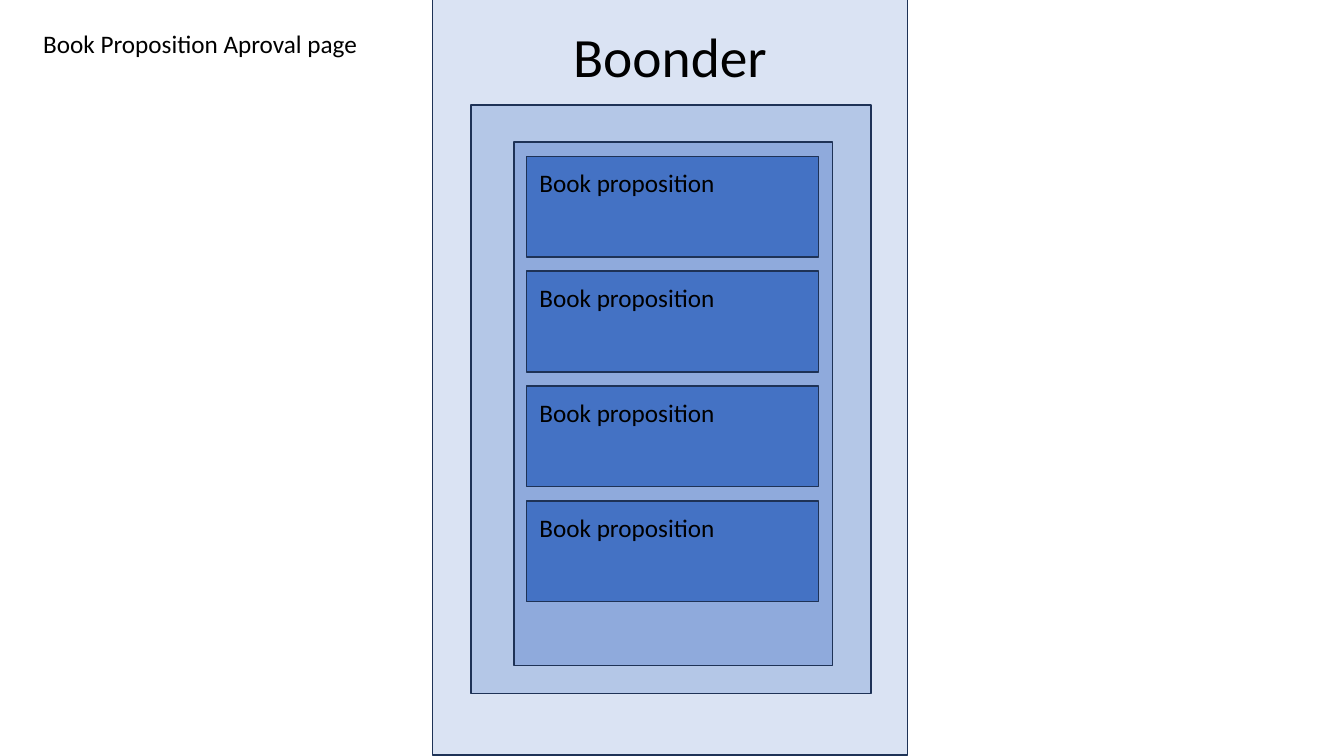
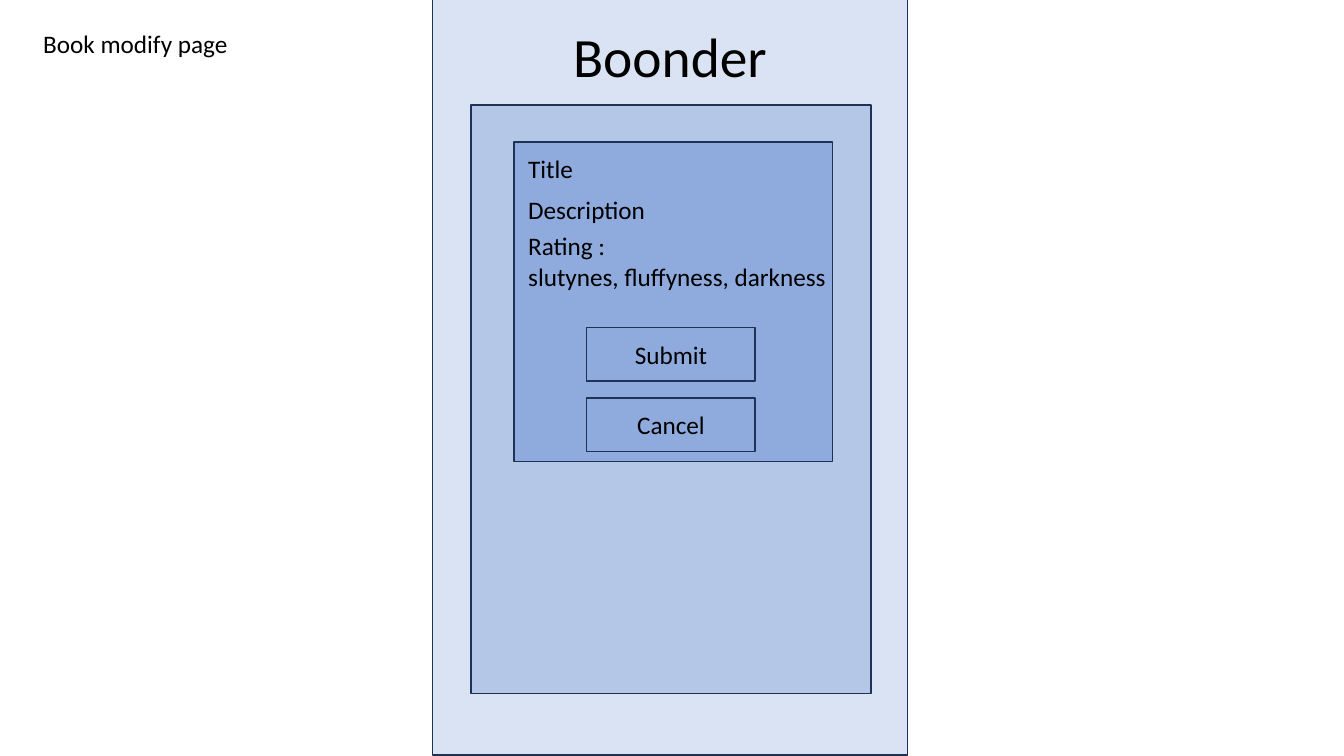
from dataclasses import dataclass

from pptx import Presentation
from pptx.dml.color import RGBColor
from pptx.enum.shapes import MSO_SHAPE
from pptx.enum.text import MSO_ANCHOR, MSO_AUTO_SIZE, PP_ALIGN
from pptx.shapes.autoshape import Shape
from pptx.slide import Slide
from pptx.text.text import TextFrame
from pptx.util import Inches, Pt

RECTANGLE = MSO_SHAPE.RECTANGLE
TOP, MIDDLE = MSO_ANCHOR.TOP, MSO_ANCHOR.MIDDLE
LEFT, CENTER = PP_ALIGN.LEFT, PP_ALIGN.CENTER
NO_AUTOFIT, GROW = MSO_AUTO_SIZE.NONE, MSO_AUTO_SIZE.SHAPE_TO_FIT_TEXT

SCREEN_FILL = RGBColor(0xDA, 0xE3, 0xF3)
CONTENT_FILL = RGBColor(0xB4, 0xC7, 0xE7)
PANEL_FILL = RGBColor(0x8F, 0xAA, 0xDC)
CARD_FILL = RGBColor(0x44, 0x72, 0xC4)
OUTLINE = RGBColor(0x1E, 0x32, 0x56)
BLACK = RGBColor(0, 0, 0)

FONT = "Calibri"
BODY_SIZE = 18
TITLE_ONLY_LAYOUT = 5
APP_NAME = "Boonder"


@dataclass(frozen=True)
class Box:
    left: float
    top: float
    width: float
    height: float

    def lengths(self) -> tuple[int, int, int, int]:
        return (Inches(self.left), Inches(self.top),
                Inches(self.width), Inches(self.height))


@dataclass(frozen=True)
class Label:
    text: str
    box: Box


SCREEN = Box(4.29, -0.01, 4.71, 7.5)
TITLE = Box(4.29, 0.28, 4.71, 0.66)
CONTENT = Box(4.67, 1.04, 3.97, 5.84)

CARD_COUNT, CARD_TOP, CARD_PITCH = 4, 1.55, 1.14
BUTTON_TOP, BUTTON_PITCH = 3.25, 0.7

FORM_LABELS = (
    Label("Title", Box(5.14, 1.47, 0.65, 0.4)),
    Label("Description", Box(5.14, 1.88, 1.38, 0.4)),
    Label("Rating :\nslutynes, fluffyness, darkness", Box(5.14, 2.24, 3.19, 0.71)),
)


def write_text(frame: TextFrame, text: str, size: float = BODY_SIZE,
               alignment: PP_ALIGN = LEFT) -> None:
    frame.text = text
    for paragraph in frame.paragraphs:
        paragraph.alignment = alignment
        paragraph.font.name = FONT
        paragraph.font.size = Pt(size)
        paragraph.font.color.rgb = BLACK


def add_rectangle(slide: Slide, box: Box, fill: RGBColor) -> Shape:
    shape = slide.shapes.add_shape(RECTANGLE, *box.lengths())
    shape.shadow.inherit = False
    shape.fill.solid()
    shape.fill.fore_color.rgb = fill
    shape.line.color.rgb = OUTLINE
    shape.line.width = Pt(1)
    return shape


def add_label(slide: Slide, label: Label) -> None:
    frame = slide.shapes.add_textbox(*label.box.lengths()).text_frame
    frame.word_wrap = False
    frame.auto_size = GROW
    write_text(frame, label.text)


def add_card(slide: Slide, text: str, box: Box) -> None:
    frame = add_rectangle(slide, box, CARD_FILL).text_frame
    frame.vertical_anchor = TOP
    frame.margin_left = Inches(0.13)
    frame.margin_top = Inches(0.11)
    write_text(frame, text)


def add_button(slide: Slide, text: str, box: Box) -> None:
    frame = add_rectangle(slide, box, PANEL_FILL).text_frame
    frame.vertical_anchor = MIDDLE
    write_text(frame, text, alignment=CENTER)


def add_app_page(presentation: Presentation, caption: Label,
                 panel_height: float) -> Slide:
    """Add the app screen that every page shares."""
    slide = presentation.slides.add_slide(
        presentation.slide_layouts[TITLE_ONLY_LAYOUT])
    screen = add_rectangle(slide, SCREEN, SCREEN_FILL)

    # App name, raised above the screen background
    title = slide.shapes.title
    title.left, title.top, title.width, title.height = TITLE.lengths()
    frame = title.text_frame
    frame.auto_size = NO_AUTOFIT
    frame.vertical_anchor = MIDDLE
    write_text(frame, APP_NAME, size=39.6, alignment=CENTER)
    frame.paragraphs[0].line_spacing = 0.8
    screen.element.addnext(title.element)

    # Content area, inner panel and page caption
    add_rectangle(slide, CONTENT, CONTENT_FILL)
    add_rectangle(slide, Box(5.1, 1.41, 3.16, panel_height), PANEL_FILL)
    add_label(slide, caption)
    return slide


def build_approval_page(presentation: Presentation) -> None:
    caption = Label("Book Proposition Aproval page", Box(0.33, 0.23, 3.33, 0.4))
    slide = add_app_page(presentation, caption, panel_height=5.19)
    for index in range(CARD_COUNT):
        top = CARD_TOP + index * CARD_PITCH
        add_card(slide, "Book proposition", Box(5.22, top, 2.9, 1))


def build_modify_page(presentation: Presentation) -> None:
    caption = Label("Book modify page", Box(0.33, 0.23, 2.05, 0.4))
    slide = add_app_page(presentation, caption, panel_height=3.17)
    for label in FORM_LABELS:
        add_label(slide, label)
    for index, text in enumerate(("Submit", "Cancel")):
        top = BUTTON_TOP + index * BUTTON_PITCH
        add_button(slide, text, Box(5.82, top, 1.67, 0.53))


def main() -> None:
    presentation = Presentation()
    presentation.slide_width = Inches(13.33)
    presentation.slide_height = Inches(7.5)
    build_approval_page(presentation)
    build_modify_page(presentation)
    presentation.save("out.pptx")


if __name__ == "__main__":
    main()
